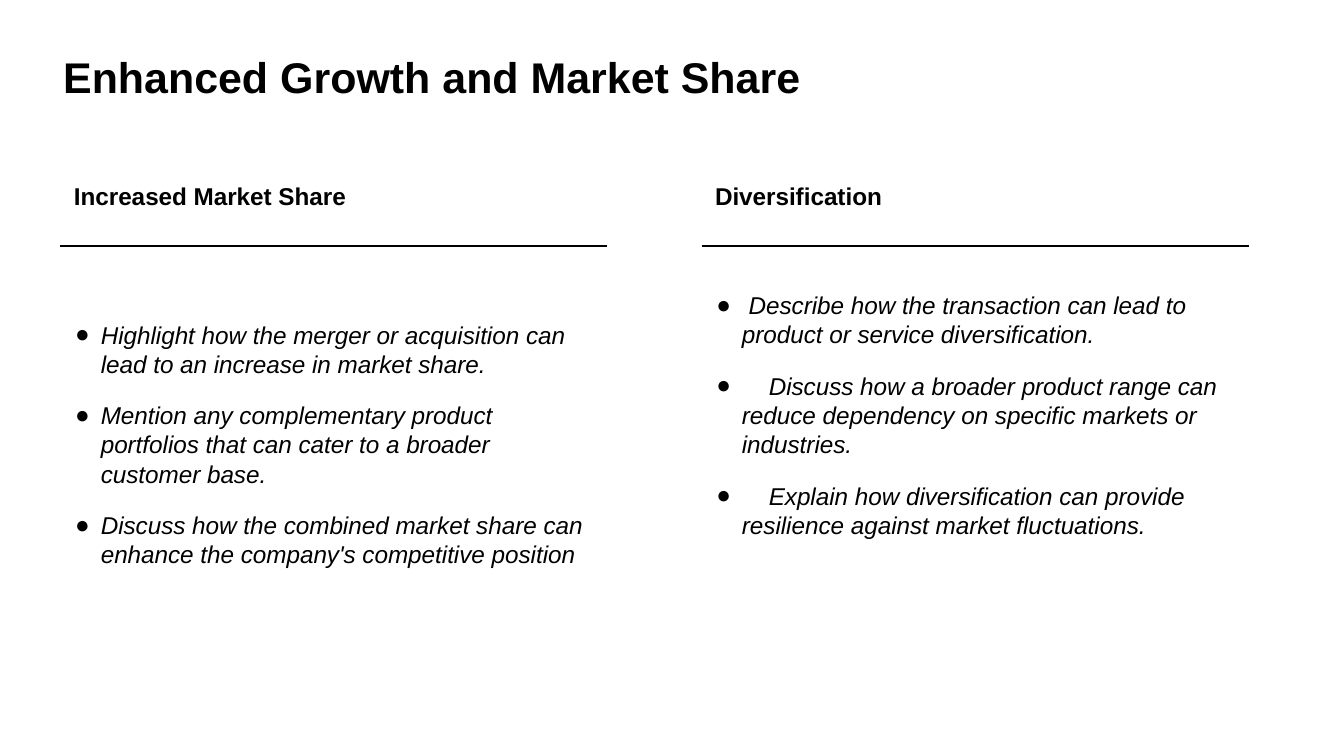
from lxml import etree
from pptx import Presentation
from pptx.dml.color import RGBColor
from pptx.enum.shapes import MSO_CONNECTOR
from pptx.enum.text import MSO_ANCHOR, MSO_AUTO_SIZE, PP_ALIGN
from pptx.oxml.ns import qn
from pptx.util import Inches, Pt

STRAIGHT = MSO_CONNECTOR.STRAIGHT
TOP, LEFT, GROW = MSO_ANCHOR.TOP, PP_ALIGN.LEFT, MSO_AUTO_SIZE.SHAPE_TO_FIT_TEXT
COMPARISON_LAYOUT = 4


class Theme:
    font = "Arial"
    ink = "000000"
    title, text = 23, 13
    rule, space_after = 1.5, 12
    inset = 0.1
    hanging, text_indent, tab_stop = 0.19, 0.2, 0.4


# Slide grid, in inches; the slide is 16:9
WIDTH = 10
HEIGHT = WIDTH * 9 / 16
MARGIN, GUTTER = 0.45, 0.7
COLUMN = 4.07
TITLE_BOX = (0.37, 0.28, 9.27, 0.59)
COLUMNS_TOP, COLUMNS_HEIGHT = 1.25, 3.27
HEADING_HEIGHT, RULE_OFFSET = 0.42, 0.58

# Heading, offset of the list below the column top, list items
COLUMNS = [
    ("Increased Market Share", 1.03, [
        "Highlight how the merger or acquisition can lead to an increase in market share.",
        "Mention any complementary product portfolios that can cater to a broader customer base.",
        "Discuss how the combined market share can enhance the company's competitive position",
    ]),
    ("Diversification", 0.81, [
        " Describe how the transaction can lead to product or service diversification.",
        "\tDiscuss how a broader product range can reduce dependency on specific markets or industries.",
        "\tExplain how diversification can provide resilience against market fluctuations.",
    ]),
]


def add_bullet(p):
    """Give a paragraph a hanging round bullet and a tab stop."""
    pPr = p._p.get_or_add_pPr()
    pPr.set("marL", str(Inches(Theme.text_indent)))
    pPr.set("indent", str(-Inches(Theme.hanging)))
    color = etree.SubElement(pPr, qn("a:buClr"))
    etree.SubElement(color, qn("a:srgbClr"), val=Theme.ink)
    etree.SubElement(pPr, qn("a:buFont"), typeface=Theme.font)
    etree.SubElement(pPr, qn("a:buChar"), char="●")
    tabs = etree.SubElement(pPr, qn("a:tabLst"))
    etree.SubElement(tabs, qn("a:tab"), pos=str(Inches(Theme.tab_stop)), algn="l")


def set_text(sp, box, lines, size=Theme.text, bold=False, italic=False,
             bullets=False, space_after=0):
    """Move a placeholder to a box and fill it with formatted paragraphs."""
    sp.left, sp.top, sp.width, sp.height = map(Inches, box)
    tf = sp.text_frame
    tf.word_wrap, tf.auto_size, tf.vertical_anchor = True, GROW, TOP
    tf.margin_left = tf.margin_right = Inches(Theme.inset)
    tf.margin_top = tf.margin_bottom = Inches(Theme.inset)
    for i, line in enumerate(lines):
        p = tf.add_paragraph() if i else tf.paragraphs[0]
        p.alignment, p.line_spacing = LEFT, 1.0
        p.space_before, p.space_after = Pt(0), Pt(space_after)
        if bullets:
            add_bullet(p)
        r = p.add_run()
        r.text = line
        r.font.name, r.font.size = Theme.font, Pt(size)
        r.font.bold, r.font.italic = bold, italic
        r.font.color.rgb = RGBColor.from_string(Theme.ink)


def add_rule(s, x, y, width):
    line = s.shapes.add_connector(
        STRAIGHT, Inches(x), Inches(y), Inches(x + width), Inches(y))
    line.line.color.rgb = RGBColor.from_string(Theme.ink)
    line.line.width = Pt(Theme.rule)
    etree.SubElement(line._element.spPr, qn("a:effectLst"))


def add_column(s, box, heading_sp, list_sp, heading, list_offset, items):
    """Place a heading, a rule and a bulleted list inside a box."""
    x, y, width, height = box
    set_text(heading_sp, (x, y, width, HEADING_HEIGHT), [heading], bold=True)
    add_rule(s, x, y + RULE_OFFSET, width)
    set_text(list_sp, (x, y + list_offset, width, height - list_offset), items,
             italic=True, bullets=True, space_after=Theme.space_after)


def main():
    prs = Presentation()
    prs.slide_width, prs.slide_height = Inches(WIDTH), Inches(HEIGHT)
    s = prs.slides.add_slide(prs.slide_layouts[COMPARISON_LAYOUT])

    # Title
    set_text(s.shapes.title, TITLE_BOX, ["Enhanced Growth and Market Share"],
             size=Theme.title, bold=True)

    # Two columns; the layout pairs heading and list placeholders
    holders = list(s.placeholders)[1:]
    for i, content in enumerate(COLUMNS):
        box = (MARGIN + i * (COLUMN + GUTTER), COLUMNS_TOP, COLUMN, COLUMNS_HEIGHT)
        add_column(s, box, *holders[2 * i:2 * i + 2], *content)

    prs.save("out.pptx")


if __name__ == "__main__":
    main()
